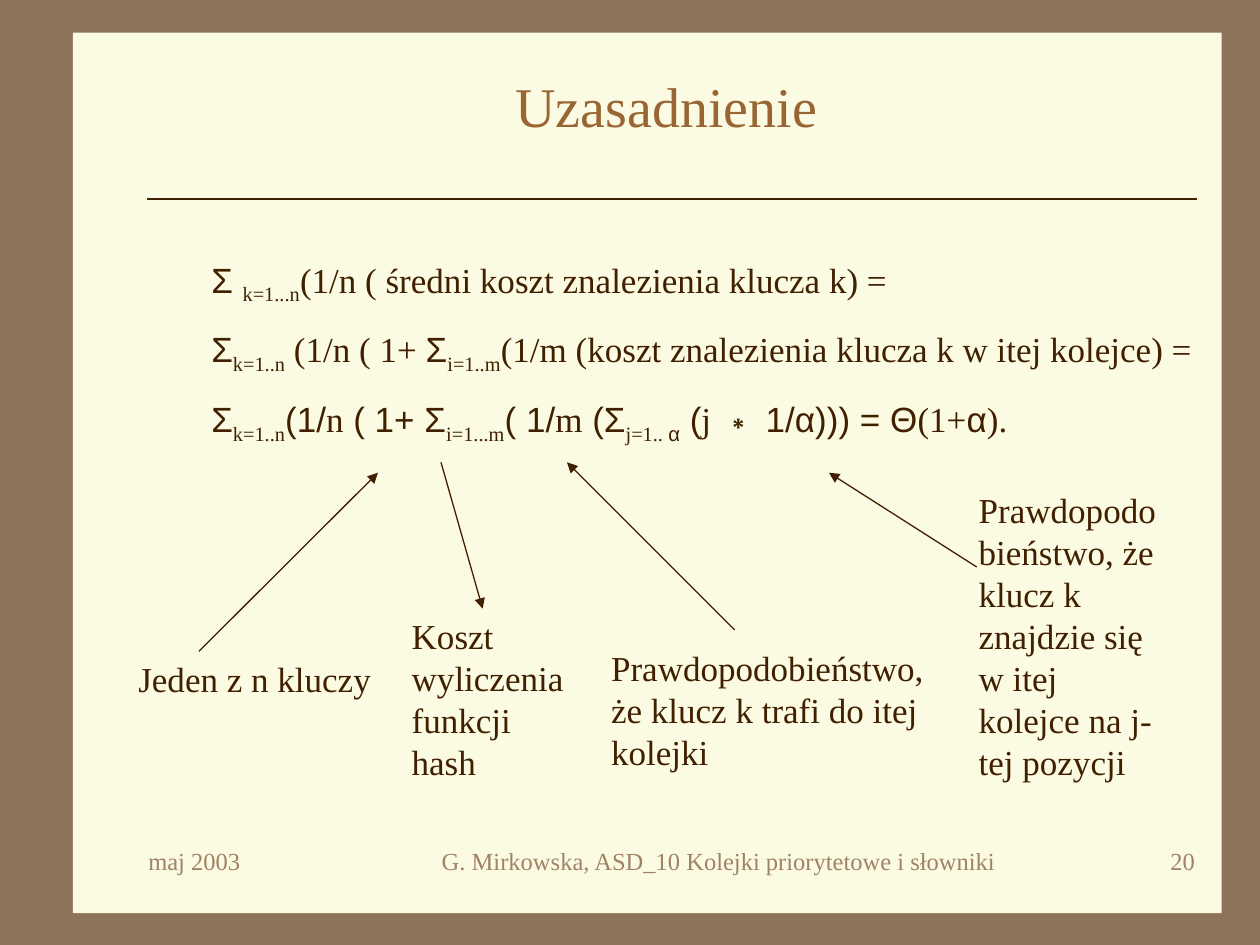
import lxml.etree
import pptx
import pptx.dml.color
import pptx.enum.shapes
import pptx.enum.text
import pptx.oxml.ns
import pptx.util
from pptx.util import Cm

Align = pptx.enum.text.PP_ALIGN
SERIF, SANS = "Times New Roman", "Arial"
INK, TITLE, MUTED = "402000", "996633", "A08366"
PAPER, FRAME = "FBFAE2", "8C735A"

# Each span is (text, font, is subscript).
FORMULA = [
    [("Σ ", SANS, False), ("k=1...n", SERIF, True),
     ("(1/n ( średni koszt znalezienia klucza k) =", SERIF, False)],
    [("Σ", SANS, False), ("k=1..n", SERIF, True), (" (1/n ( 1+ ", SERIF, False),
     ("Σ", SANS, False), ("i=1..m", SERIF, True),
     ("(1/m (koszt znalezienia klucza k w itej kolejce) =", SERIF, False)],
    [("Σ", SANS, False), ("k=1..n", SERIF, True), ("(1/", SANS, False),
     ("n", SERIF, False), (" ( 1+ Σ", SANS, False), ("i=1...m", SERIF, True),
     ("( 1/", SANS, False), ("m", SERIF, False), (" (Σ", SANS, False),
     ("j=1.. ", SERIF, True), ("α", SANS, True), (" (", SANS, False),
     ("j", SERIF, False), (" ∗ 1/α))) = Θ", SANS, False),
     ("(1+", SERIF, False), ("α", SANS, False), (").", SERIF, False)],
]

# Text, left, top, width, height, then the arrow's start and end.
NOTES = [
    ("Jeden z n kluczy", 2.54, 13.13, 5.28, 1.12, (4.01, 13.13), (7.62, 9.53)),
    ("Koszt wyliczenia funkcji hash", 8.05, 12.27, 3.81, 3.66,
     (8.89, 9.32), (9.73, 12.27)),
    ("Prawdopodobieństwo, że klucz k trafi do itej kolejki",
     12.07, 12.9, 7.42, 2.79, (14.81, 12.7), (11.43, 9.32)),
    ("Prawdopodobieństwo, że klucz k znajdzie się w itej kolejce na j-tej pozycji",
     19.48, 9.73, 4.24, 6.2, (19.69, 11.43), (16.71, 9.53)),
]

# Text, left, width, alignment.
FOOTER = [
    ("maj 2003", 2.74, 5.28, Align.LEFT),
    ("G. Mirkowska, ASD_10 Kolejki priorytetowe i słowniki", 7.82, 13.34, Align.CENTER),
    ("20", 21.16, 3.18, Align.RIGHT),
]


def color(value):
    return pptx.dml.color.RGBColor.from_string(value)


def style(font, size, ink, name=SERIF):
    font.name = name
    font.size = pptx.util.Pt(size)
    font.color.rgb = color(ink)


class Page:
    """Holds the current slide and draws each kind of element in its style."""

    def __init__(self, deck):
        self.slide = deck.slides.add_slide(deck.slide_layouts[5])
        fill = self.slide.background.fill
        fill.solid()
        fill.fore_color.rgb = color(FRAME)

    def panel(self, left, top, width, height):
        shape = self.slide.shapes.add_shape(
            pptx.enum.shapes.MSO_SHAPE.RECTANGLE,
            Cm(left), Cm(top), Cm(width), Cm(height))
        shape.shadow.inherit = False
        shape.fill.solid()
        shape.fill.fore_color.rgb = color(PAPER)
        shape.line.fill.background()

    def title(self, text, left, top, width, height):
        box = self.slide.shapes.title
        box.left, box.top, box.width, box.height = map(Cm, (left, top, width, height))
        box.text_frame.text = text
        box.text_frame.vertical_anchor = pptx.enum.text.MSO_ANCHOR.MIDDLE
        para = box.text_frame.paragraphs[0]
        para.alignment = Align.CENTER
        style(para.runs[0].font, 32, TITLE)

    def frame(self, left, top, width, height):
        box = self.slide.shapes.add_textbox(Cm(left), Cm(top), Cm(width), Cm(height))
        box.text_frame.word_wrap = True
        return box.text_frame

    def text(self, text, left, top, width, height, size=20, ink=INK, align=Align.LEFT):
        frame = self.frame(left, top, width, height)
        frame.text = text
        para = frame.paragraphs[0]
        para.alignment = align
        style(para.runs[0].font, size, ink)

    def formula(self, lines, left, top, width, height):
        frame = self.frame(left, top, width, height)
        for index, spans in enumerate(lines):
            para = frame.add_paragraph() if index else frame.paragraphs[0]
            if index:
                para.space_before = pptx.util.Pt(12.5)
            for text, name, subscript in spans:
                span = para.add_run()
                span.text = text
                style(span.font, 20, INK, name)
                if subscript:
                    span.font._element.set("baseline", "-25000")

    def line(self, start, end, arrow=False):
        line = self.slide.shapes.add_connector(
            pptx.enum.shapes.MSO_CONNECTOR.STRAIGHT, *map(Cm, start + end))
        line.line.color.rgb = color(INK)
        line.line.width = pptx.util.Pt(0.75)
        qn = pptx.oxml.ns.qn
        properties = line._element.spPr
        if arrow:
            outline = properties.find(qn("a:ln"))
            lxml.etree.SubElement(outline, qn("a:tailEnd"), type="triangle")
        lxml.etree.SubElement(properties, qn("a:effectLst"))


def main():
    deck = pptx.Presentation()
    deck.slide_width, deck.slide_height = Cm(25.4), Cm(19.05)
    page = Page(deck)
    page.panel(1.47, 0.66, 23.16, 17.75)
    # The title placeholder comes first in the slide; lift it above the panel.
    page.slide.shapes._spTree.append(page.slide.shapes.title._element)
    page.line((2.97, 4.01), (24.13, 4.01))
    page.title("Uzasadnienie", 2.74, 1.27, 21.39, 1.7)
    page.formula(FORMULA, 4.01, 5.08, 20.32, 5.31)
    for text, left, top, width, height, start, end in NOTES:
        page.text(text, left, top, width, height)
        page.line(start, end, arrow=True)
    for text, left, width, align in FOOTER:
        page.text(text, left, 16.94, width, 1.27, 14, MUTED, align)
    deck.save("out.pptx")


if __name__ == "__main__":
    main()
